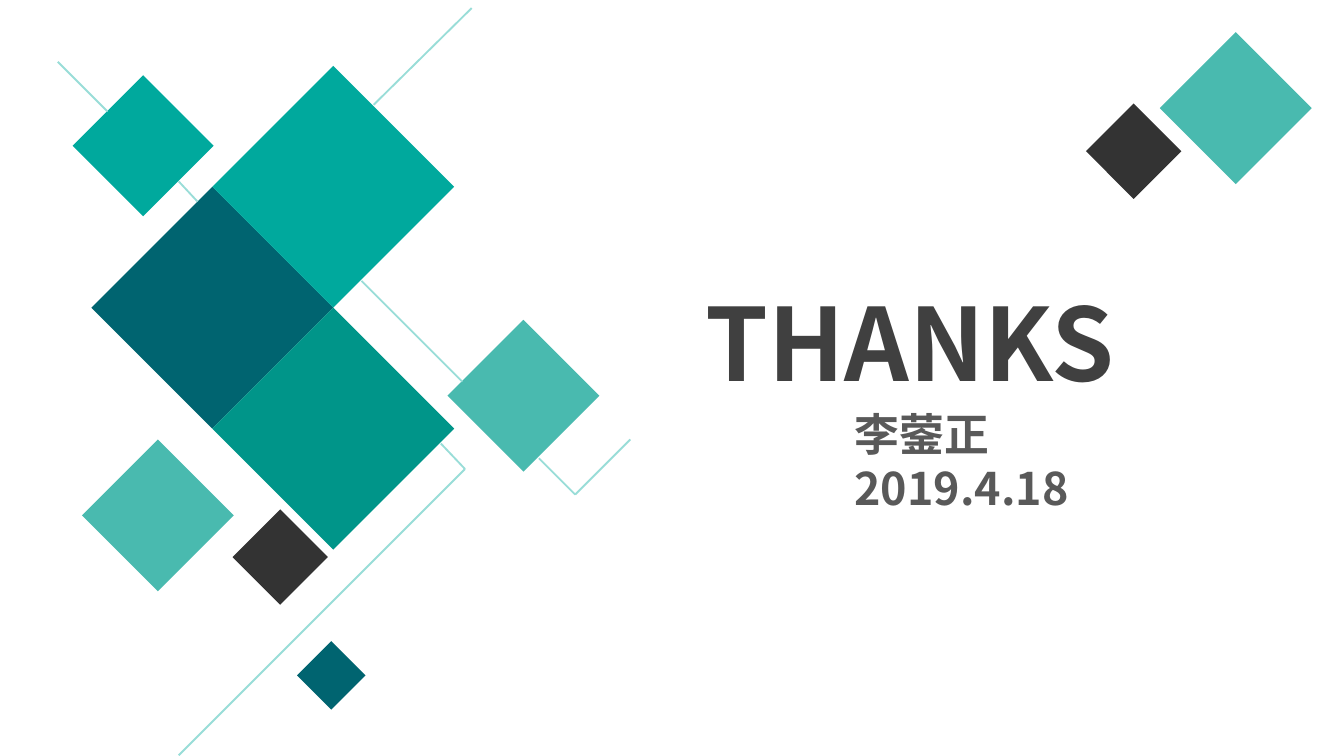
from lxml.etree import SubElement
from pptx import Presentation
from pptx.dml.color import RGBColor
from pptx.enum.shapes import MSO_CONNECTOR, MSO_SHAPE
from pptx.enum.text import MSO_AUTO_SIZE
from pptx.oxml.ns import qn
from pptx.util import Inches, Pt

FONT = "Noto Sans CJK SC"
COLORS = {
    "navy": "006470", "teal": "00A99D", "green": "009589", "mint": "49BAAF",
    "black": "333333", "line": "99DDD8", "title": "404040", "detail": "595959",
}

# Widescreen page, 16:9
deck = Presentation()
deck.slide_width = Inches(10)
deck.slide_height = Inches(10 * 9 / 16)
page = deck.slides.add_slide(deck.slide_layouts[6])

# Diamonds: left, top, size, colour
diamonds = [
    (0.68, 1.39, 1.8, "navy"),
    (1.58, 0.49, 1.8, "teal"),
    (0.54, 0.56, 1.05, "teal"),
    (1.58, 2.29, 1.8, "green"),
    (1.73, 3.79, 0.71, "black"),
    (3.33, 2.38, 1.13, "mint"),
    (0.61, 3.27, 1.13, "mint"),
    (2.21, 4.77, 0.51, "navy"),
    (8.08, 0.77, 0.71, "black"),
    (8.63, 0.24, 1.13, "mint"),
]
for left, top, size, color in diamonds:
    diamond = page.shapes.add_shape(
        MSO_SHAPE.DIAMOND, Inches(left), Inches(top), Inches(size), Inches(size))
    diamond.shadow.inherit = False
    diamond.fill.solid()
    diamond.fill.fore_color.rgb = RGBColor.from_string(COLORS[color])
    diamond.line.fill.background()

# Thin diagonal lines between the diamonds
lines = [
    (2.69, 2.09, 3.44, 2.84), (4.01, 3.41, 4.28, 3.68), (4.28, 3.68, 4.69, 3.27),
    (2.78, 0.78, 3.51, 0.06),
    (3.28, 3.3, 3.46, 3.49), (3.46, 3.49, 1.33, 5.62),
    (1.33, 1.35, 1.47, 1.5), (0.43, 0.46, 0.8, 0.83),
]
for ends in lines:
    line = page.shapes.add_connector(MSO_CONNECTOR.STRAIGHT, *map(Inches, ends))
    line.line.width = Pt(1)
    line.line.color.rgb = RGBColor.from_string(COLORS["line"])
    SubElement(line._element.spPr, qn("a:effectLst"))

# Closing words, then name and date
texts = [
    ("THANKS", (5.15, 2.04, 3.46, 1.01), 54, "title"),
    ("李蓥正2019.4.18", (6.26, 2.98, 1.97, 0.91), 24, "detail"),
]
for words, place, size, color in texts:
    box = page.shapes.add_textbox(*map(Inches, place))
    box.text_frame.word_wrap = True
    box.text_frame.auto_size = MSO_AUTO_SIZE.SHAPE_TO_FIT_TEXT
    span = box.text_frame.paragraphs[0].add_run()
    span.text = words
    for name, value in {"name": FONT, "size": Pt(size), "bold": True}.items():
        setattr(span.font, name, value)
    span.font.color.rgb = RGBColor.from_string(COLORS[color])
    SubElement(span._r.get_or_add_rPr(), qn("a:ea"), typeface=FONT)

deck.save("out.pptx")
